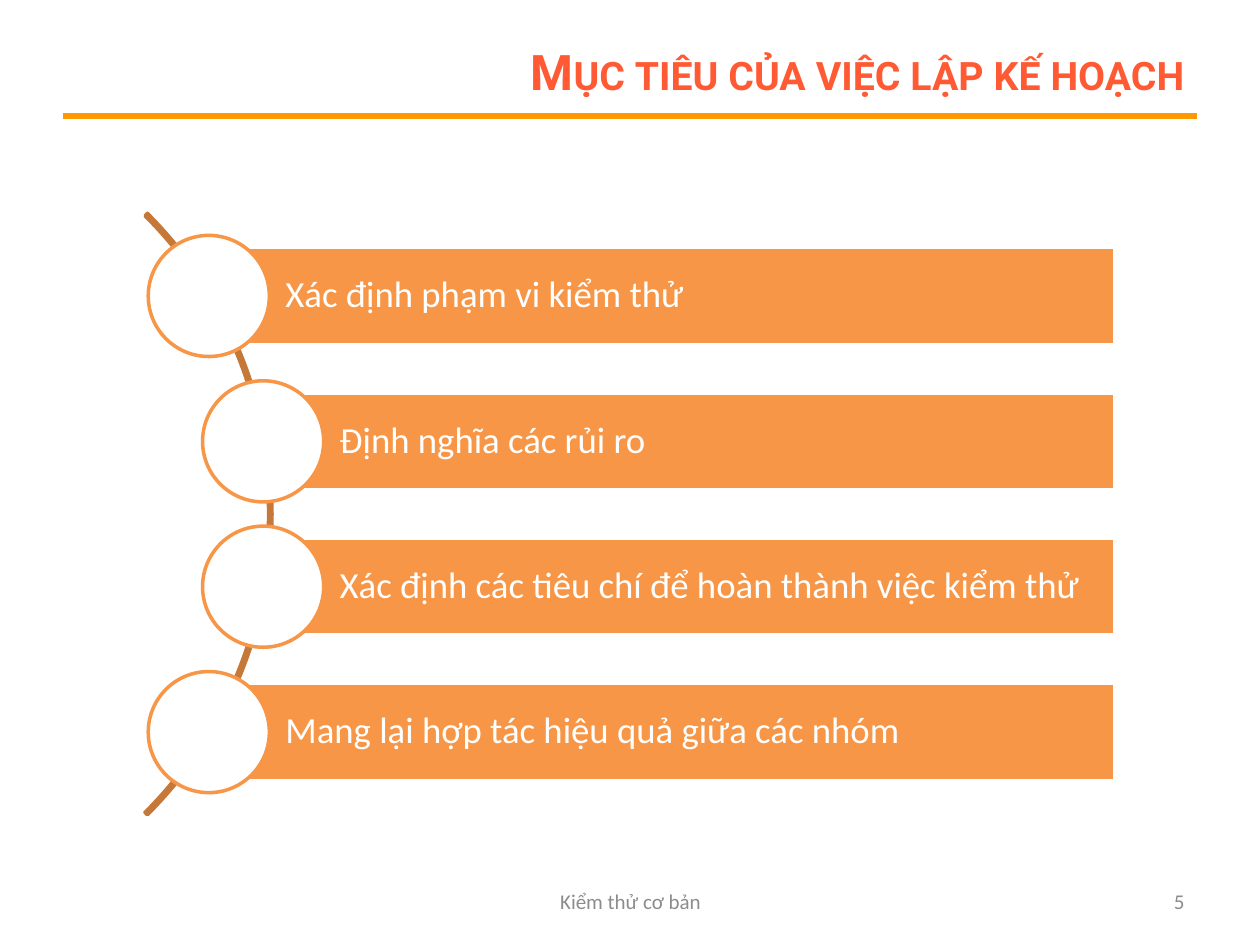
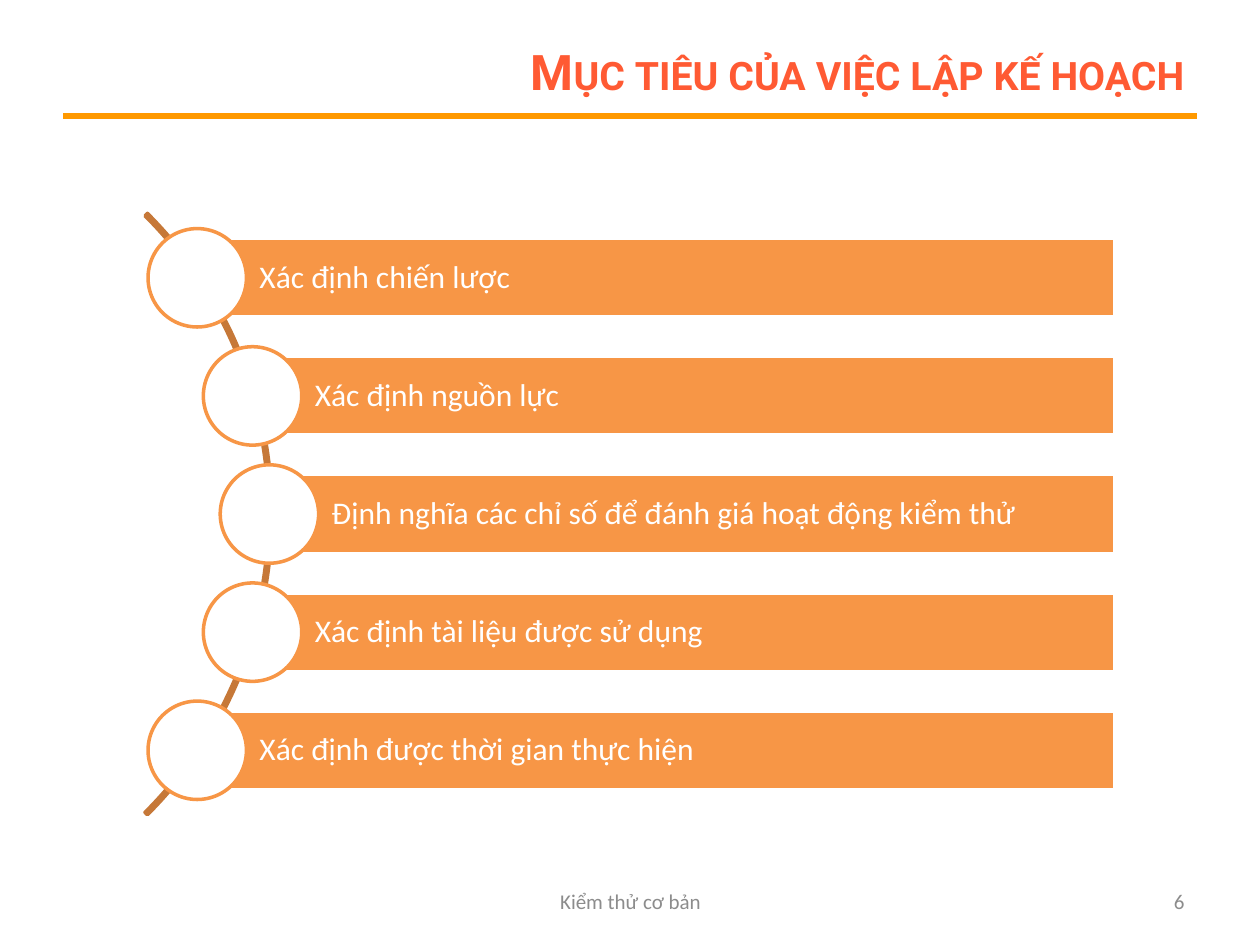
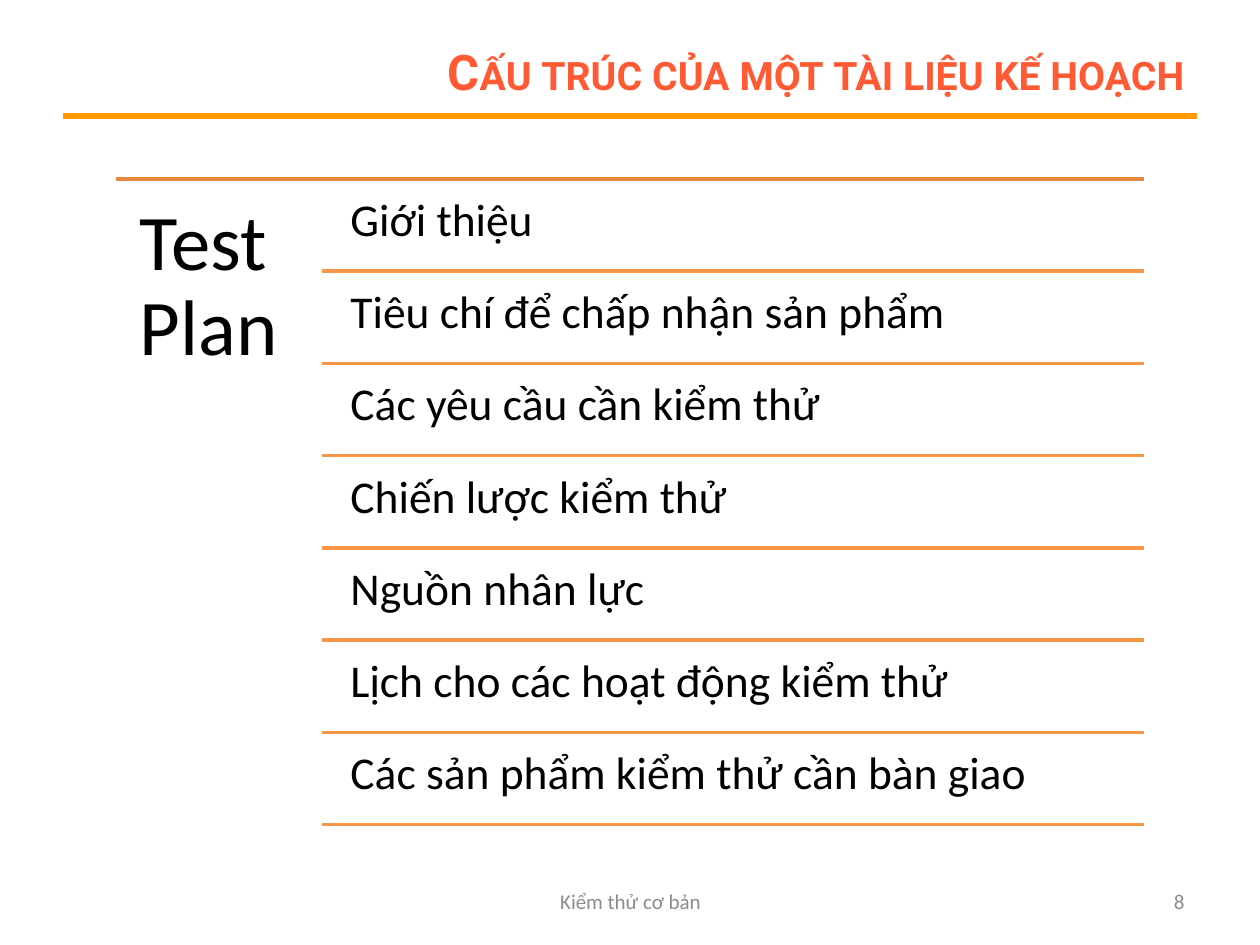
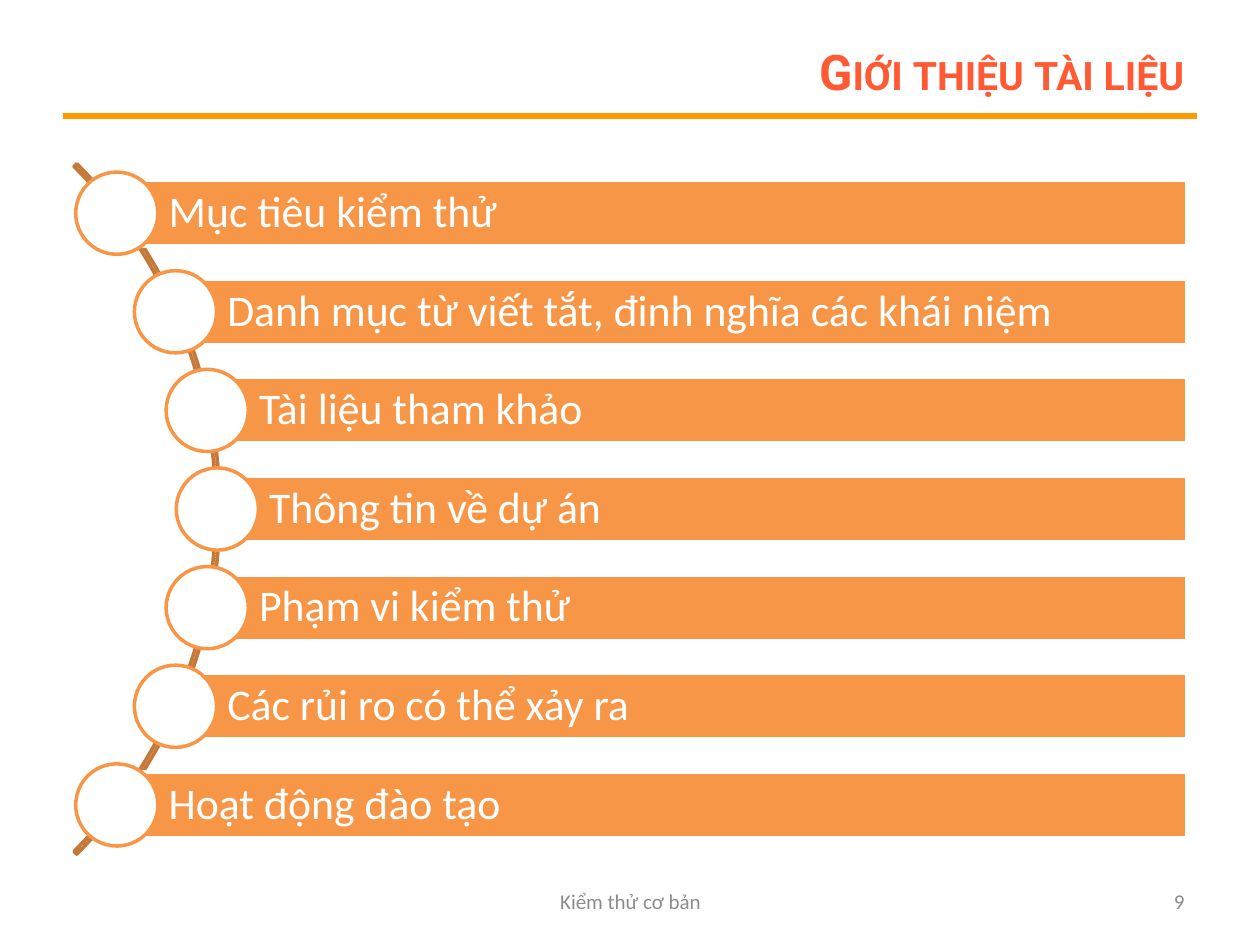
import math

from lxml import etree
from pptx import Presentation
from pptx.dml import color
from pptx.enum import shapes, text
from pptx.oxml import ns
from pptx.util import Inches, Pt

# Shared look
ORANGE, WHITE, BLACK = "F79646", "FFFFFF", "000000"
RULE, TITLE, ARC, TOP_LINE, GREY = "FF9900", "FF5A33", "C67838", "E08840", "8C8C8C"
BODY_FONT, TITLE_FONT = "Calibri", "Roboto"
LEFT, CENTER, RIGHT = text.PP_ALIGN.LEFT, text.PP_ALIGN.CENTER, text.PP_ALIGN.RIGHT
TOP, MIDDLE = text.MSO_ANCHOR.TOP, text.MSO_ANCHOR.MIDDLE
FOOTER = "Kiểm thử cơ bản"


def rgb(value):
    return color.RGBColor.from_string(value)


def box(x, y, w, h):
    return Inches(x), Inches(y), Inches(w), Inches(h)


def write(sp, words, size, ink, font=BODY_FONT, align=LEFT, anchor=TOP,
          insets=(0.1, 0.05, 0.1, 0.05), spacing=1.0):
    """Fill a shape with one formatted paragraph and return its run."""
    tf = sp.text_frame
    tf.text = words
    tf.word_wrap = True
    tf.auto_size = text.MSO_AUTO_SIZE.NONE
    tf.vertical_anchor = anchor
    tf.margin_left, tf.margin_top, tf.margin_right, tf.margin_bottom = map(Inches, insets)
    p = tf.paragraphs[0]
    p.alignment, p.line_spacing = align, spacing
    r = p.runs[0]
    r.font.name, r.font.size = font, Pt(size)
    r.font.color.rgb = rgb(ink)
    return r


def add_label(s, bounds, words, size, ink, **style):
    return write(s.shapes.add_textbox(*box(*bounds)), words, size, ink, **style)


def add_shape(s, kind, bounds, fill, line):
    sp = s.shapes.add_shape(kind, *box(*bounds))
    sp.shadow.inherit = False
    if fill:
        sp.fill.solid()
        sp.fill.fore_color.rgb = rgb(fill)
    else:
        sp.fill.background()
    sp.line.color.rgb = rgb(line)
    sp.line.width = Pt(2)
    return sp


def add_rule(s, x1, x2, y, ink, width=2):
    line = s.shapes.add_connector(shapes.MSO_CONNECTOR.STRAIGHT,
                                  Inches(x1), Inches(y), Inches(x2), Inches(y))
    line.line.color.rgb = rgb(ink)
    line.line.width = Pt(width)
    etree.SubElement(line.element.spPr, ns.qn("a:effectLst"))
    return line


def add_master_rule(prs, s):
    """Draw the rule under the titles and move it to the slide master."""
    line = add_rule(s, 0.5, 9.5, 0.92, RULE, 3)
    line.element.nvCxnSpPr.cNvPr.set("id", "20")
    prs.slide_master.shapes.element.append(line.element)


def add_slide(prs, title, number):
    s = prs.slides.add_slide(prs.slide_layouts[5])
    sp = s.shapes.title
    sp.left, sp.top, sp.width, sp.height = box(2.25, 0.3, 7.25, 0.53)
    r = write(sp, title, 28, TITLE, font=TITLE_FONT, align=RIGHT, anchor=MIDDLE)
    r.font.bold = True
    r.font._element.set("cap", "small")
    add_label(s, (3.42, 6.95, 3.17, 0.4), FOOTER, 12, GREY, align=CENTER, anchor=MIDDLE)
    add_label(s, (7.17, 6.95, 2.33, 0.4), str(number), 12, GREY, align=RIGHT, anchor=MIDDLE)
    return s


def add_curved_list(s, bounds, items, size):
    """Bars whose round markers sit on an arc spanning the height of the box."""
    left, top, width, height = bounds
    bar = height / (1.5 * len(items) + 0.5)
    marker = 1.25 * bar
    radius = 1.35 * height / 2
    center_x = left - radius * math.cos(math.pi / 4)
    center_y = top + height / 2
    inset = size / 360

    # Arc from 315 to 45 degrees
    arc = add_shape(s, shapes.MSO_SHAPE.BLOCK_ARC,
                    (center_x - radius, center_y - radius, 2 * radius, 2 * radius), None, ARC)
    for i, value in enumerate((189, 27, 0.004)):
        arc.adjustments[i] = value

    # Bars and markers
    for i, item in enumerate(items):
        dy = (i - (len(items) - 1) / 2) * 1.5 * bar
        x = center_x + math.sqrt((radius - 0.02) ** 2 - dy ** 2)
        y = center_y + dy
        sp = add_shape(s, shapes.MSO_SHAPE.RECTANGLE,
                       (x, y - bar / 2, left + width - x, bar), ORANGE, WHITE)
        write(sp, item, size, WHITE, anchor=MIDDLE, spacing=0.9,
              insets=(0.79 * bar, inset, inset, inset))
        add_shape(s, shapes.MSO_SHAPE.OVAL,
                  (x - marker / 2, y - marker / 2, marker, marker), WHITE, ORANGE)


def add_lined_list(s, bounds, heading, items):
    """A large heading on the left and rows with lines under them on the right."""
    left, top, width, height = bounds
    right, rows_left = left + width, left + 0.2 * width
    row = height / (1.05 * len(items) + 0.05)
    gap = 0.05 * row
    add_rule(s, left, right, top, TOP_LINE)
    add_label(s, (left, top, 0.2 * width, height), heading, 45, BLACK,
              insets=(0.19,) * 4, spacing=0.9)
    for i, item in enumerate(items):
        y = top + gap + i * (row + gap)
        add_label(s, (rows_left + 0.12, y, right - rows_left - 0.12, row), item, 26, BLACK,
                  insets=(0.11,) * 4, spacing=0.9)
        add_rule(s, rows_left, right, y + row, ORANGE)


def main():
    prs = Presentation()
    prs.slide_width, prs.slide_height = Inches(10), Inches(7.5)
    goals, goals_box = "Mục tiêu của việc lập kế hoạch", (1.17, 1.58, 7.68, 5)

    # Goals of planning
    s = add_slide(prs, goals, 5)
    add_master_rule(prs, s)
    add_curved_list(s, goals_box, [
        "Xác định phạm vi kiểm thử",
        "Định nghĩa các rủi ro",
        "Xác định các tiêu chí để hoàn thành việc kiểm thử",
        "Mang lại hợp tác hiệu quả giữa các nhóm",
    ], 21)

    s = add_slide(prs, goals, 6)
    add_curved_list(s, goals_box, [
        "Xác định chiến lược",
        "Xác định nguồn lực",
        "Định nghĩa các chỉ số để đánh giá hoạt động kiểm thử",
        "Xác định tài liệu được sử dụng",
        "Xác định được thời gian thực hiện",
    ], 18)

    # Structure of the plan
    s = add_slide(prs, "Cấu trúc của một tài liệu kế hoạch", 8)
    add_lined_list(s, (0.92, 1.42, 8.16, 5.16), "Test Plan", [
        "Giới thiệu",
        "Tiêu chí để chấp nhận sản phẩm",
        "Các yêu cầu cần kiểm thử",
        "Chiến lược kiểm thử",
        "Nguồn nhân lực",
        "Lịch cho các hoạt động kiểm thử",
        "Các sản phẩm kiểm thử cần bàn giao",
    ])

    # Introduction of the document
    s = add_slide(prs, "Giới thiệu tài liệu", 9)
    add_curved_list(s, (0.61, 1.17, 8.81, 5.74), [
        "Mục tiêu kiểm thử",
        "Danh mục từ viết tắt, đinh nghĩa các khái niệm",
        "Tài liệu tham khảo",
        "Thông tin về dự án",
        "Phạm vi kiểm thử",
        "Các rủi ro có thể xảy ra",
        "Hoạt động đào tạo",
    ], 25)

    prs.save("out.pptx")


if __name__ == "__main__":
    main()
